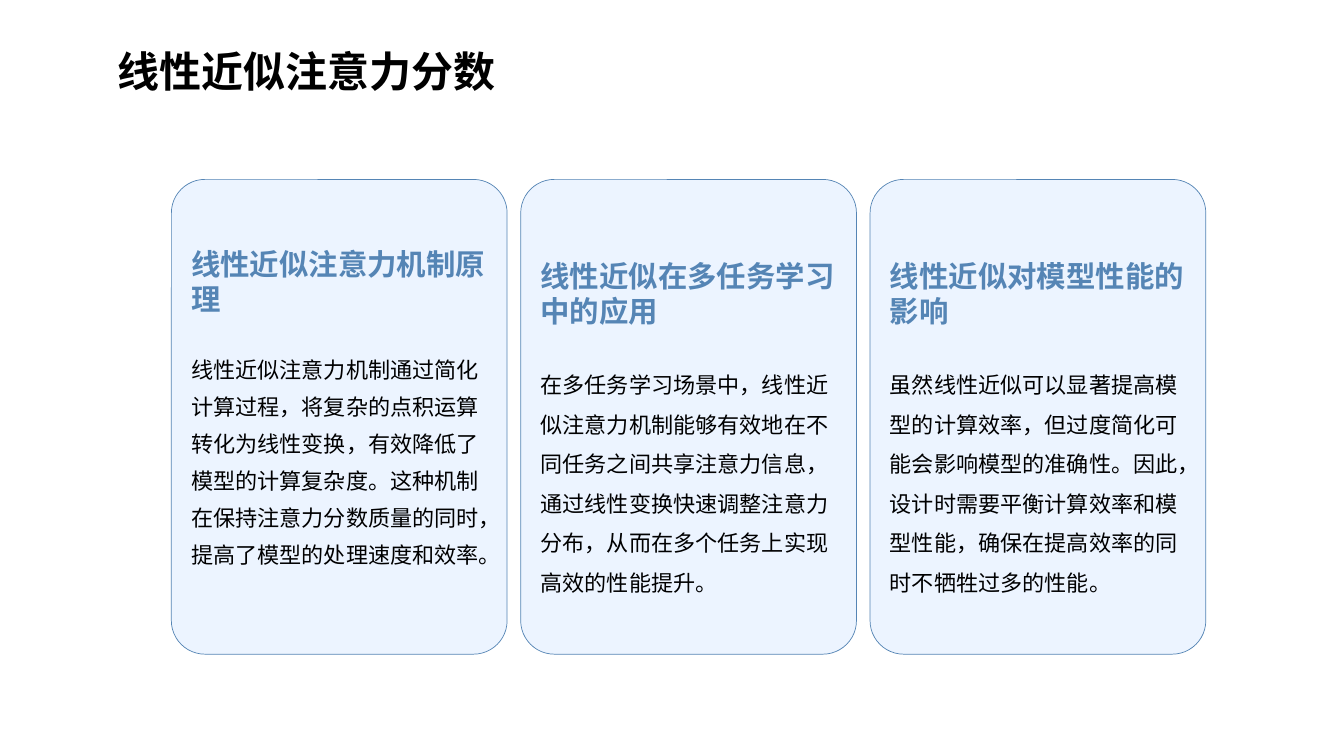
from lxml import etree
from pptx import Presentation
from pptx.dml.color import RGBColor
from pptx.enum.shapes import MSO_SHAPE
from pptx.enum.text import MSO_ANCHOR, PP_ALIGN
from pptx.oxml.ns import qn
from pptx.util import Inches, Pt

ROUNDED = MSO_SHAPE.ROUNDED_RECTANGLE
TOP, MIDDLE = MSO_ANCHOR.TOP, MSO_ANCHOR.MIDDLE
LEFT = PP_ALIGN.LEFT

FONT = "Noto Sans CJK SC"
COLORS = {"text": "000000", "accent": "5585B5", "card": "ECF4FF"}

TITLE = "线性近似注意力分数"
CARDS = [
    {
        "heading": "线性近似注意力机制原理",
        "body": "线性近似注意力机制通过简化计算过程，将复杂的点积运算转化为线性变换，"
                "有效降低了模型的计算复杂度。这种机制在保持注意力分数质量的同时，"
                "提高了模型的处理速度和效率。",
        "inset": 0.57,
        "leading": 26.4,
    },
    {
        "heading": "线性近似在多任务学习中的应用",
        "body": "在多任务学习场景中，线性近似注意力机制能够有效地在不同任务之间共享注意力信息，"
                "通过线性变换快速调整注意力分布，从而在多个任务上实现高效的性能提升。",
        "inset": 0.69,
        "leading": 28.3,
    },
    {
        "heading": "线性近似对模型性能的影响",
        "body": "虽然线性近似可以显著提高模型的计算效率，但过度简化可能会影响模型的准确性。"
                "因此，设计时需要平衡计算效率和模型性能，确保在提高效率的同时不牺牲过多的性能。",
        "inset": 0.69,
        "leading": 28.3,
    },
]

CARD_LEFT, CARD_TOP, CARD_W, CARD_H = 1.7, 1.78, 3.33, 4.71
CARD_PITCH = 3.465


def rgb(name):
    """Return the named colour."""
    return RGBColor.from_string(COLORS[name])


def write(p, text, size, color, leading, bold=False, before=0):
    """Fill a paragraph with one styled run."""
    p.alignment = LEFT
    p.line_spacing = Pt(leading)
    p.space_before = Pt(before)
    r = p.add_run()
    r.text = text
    r.font.size = Pt(size)
    r.font.bold = bold
    r.font.color.rgb = rgb(color)
    r.font.name = FONT
    etree.SubElement(r.font._element, qn("a:ea")).set("typeface", FONT)


def set_frame(tf, anchor, top):
    """Set wrapping, anchor and vertical insets of a text frame."""
    tf.word_wrap = True
    tf.vertical_anchor = anchor
    tf.margin_top = Inches(top)
    tf.margin_bottom = Inches(0)


def add_title(s):
    """Add the slide title."""
    box = s.shapes.add_textbox(Inches(1.07), Inches(0.12), Inches(10.25), Inches(0.85))
    tf = box.text_frame
    set_frame(tf, MIDDLE, 0)
    write(tf.paragraphs[0], TITLE, 30, "text", 58.6, bold=True)


def add_card(s, index, card):
    """Add one rounded card with its heading and body."""
    left = CARD_LEFT + index * CARD_PITCH
    sp = s.shapes.add_shape(ROUNDED, Inches(left), Inches(CARD_TOP),
                            Inches(CARD_W), Inches(CARD_H))
    sp.adjustments[0] = 0.1
    sp.shadow.inherit = False
    sp.fill.solid()
    sp.fill.fore_color.rgb = rgb("card")
    sp.line.color.rgb = rgb("accent")
    sp.line.width = Pt(0.5)
    tf = sp.text_frame
    set_frame(tf, TOP, card["inset"])
    write(tf.paragraphs[0], card["heading"], 21, "accent", 25, bold=True)
    write(tf.add_paragraph(), card["body"], 15.8, "text", card["leading"], before=21)


def main():
    """Build and save the slide."""
    prs = Presentation()
    prs.slide_width, prs.slide_height = Inches(13.33), Inches(7.5)
    s = prs.slides.add_slide(prs.slide_layouts[6])
    add_title(s)
    for index, card in enumerate(CARDS):
        add_card(s, index, card)
    prs.save("out.pptx")


if __name__ == "__main__":
    main()
